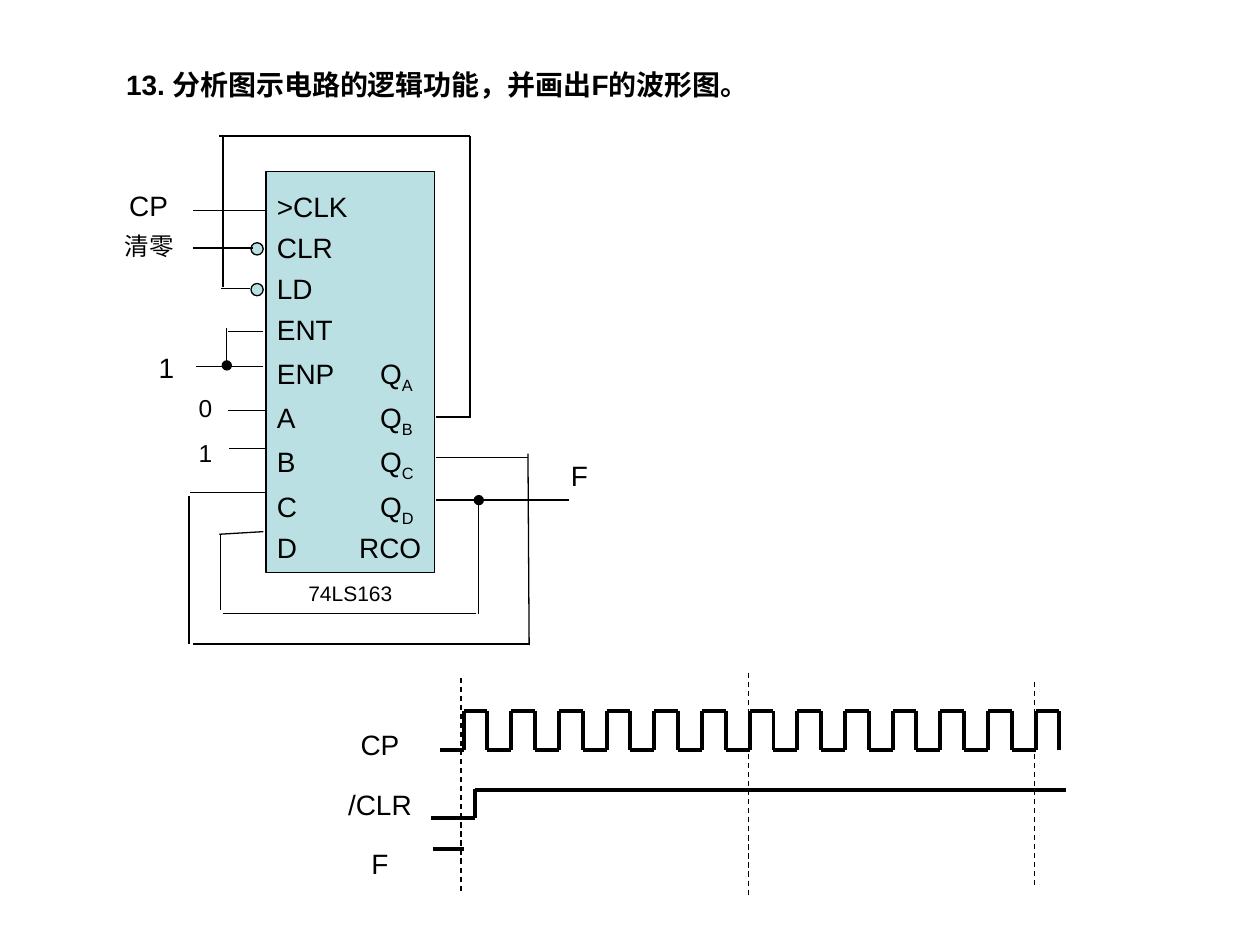
"""Build a slide with a counter circuit and its timing chart."""
from lxml.etree import SubElement
from pptx import Presentation
from pptx.dml.color import RGBColor
from pptx.enum.dml import MSO_LINE
from pptx.enum.shapes import MSO_CONNECTOR, MSO_SHAPE
from pptx.enum.text import PP_ALIGN
from pptx.oxml.ns import qn
from pptx.util import Pt

BLACK = RGBColor(0x00, 0x00, 0x00)
TEAL = RGBColor(0xBB, 0xE0, 0xE3)

deck = Presentation()
deck.slide_width, deck.slide_height = Pt(720), Pt(540)
slide = deck.slides.add_slide(deck.slide_layouts[6])
shapes = slide.shapes


def write(text, box, size=16, bold=False, align=PP_ALIGN.CENTER, before=10, space=1, tabs=()):
    frame = shapes.add_textbox(*map(Pt, box)).text_frame
    frame.word_wrap = True
    for row, line in enumerate(text.split("\n")):
        para = frame.paragraphs[0] if row == 0 else frame.add_paragraph()
        para.alignment = align
        para.line_spacing = space
        para.space_before = Pt(before if row else 0)
        if "\t" in line:
            stops = SubElement(para._p.get_or_add_pPr(), qn("a:tabLst"))
            stop = tabs[1] if "RCO" in line else tabs[0]
            SubElement(stops, qn("a:tab"), pos=str(Pt(stop)), algn="l")
        main, mark, sub = line.partition("_")
        for part in filter(None, (main, sub)):
            run = para.add_run()
            run.text = part
            run.font.name = "Arial"
            run.font.size = Pt(size)
            run.font.bold = bold
            run.font.color.rgb = BLACK
            if mark and part is sub:
                run.font._element.set("baseline", "-25000")


def draw(start, end, width=0.75, dash=None, dot=None):
    wire = shapes.add_connector(MSO_CONNECTOR.STRAIGHT, *map(Pt, start + end))
    wire.line.color.rgb = BLACK
    wire.line.width = Pt(width)
    if dash:
        wire.line.dash_style = dash
    if dot:
        SubElement(wire.line._get_or_add_ln(), qn(f"a:{dot}"), type="oval")
    SubElement(wire._element.spPr, qn("a:effectLst"))


for kind, box in [
    (MSO_SHAPE.RECTANGLE, (152, 98, 96.5, 229)),
    (MSO_SHAPE.OVAL, (143.4, 138.7, 7, 7)),
    (MSO_SHAPE.OVAL, (143.4, 162, 7, 7)),
]:
    part = shapes.add_shape(kind, *map(Pt, box))
    part.shadow.inherit = False
    part.fill.solid()
    part.fill.fore_color.rgb = TEAL
    part.line.color.rgb = BLACK
    part.line.width = Pt(0.75)

write("13. 分析图示电路的逻辑功能，并画出F的波形图。", (65, 35.3, 428, 27),
      bold=True, align=PP_ALIGN.LEFT)
write(">CLK\nCLR\nLD\nENT\nENP\tQ_A\nA\tQ_B\nB\tQ_C\nC\tQ_D\nD\tRCO",
      (151.2, 110.2, 98.6, 216), align=PP_ALIGN.LEFT, space=0.7, tabs=(59, 47))
write("74LS163", (152, 328.3, 96.5, 22), size=12)
write("CP", (61.2, 104.4, 47.5, 27))
write("清零", (64, 128.2, 42.5, 24), size=14)
write("1", (79.2, 196.6, 31.7, 27))
write("0\n1", (103.7, 221, 27.4, 50), size=14, before=8.8)
write("F", (316, 258.5, 30.2, 27))
write("CP\n/CLR\nF", (188.6, 407.5, 57, 99.4), space=1.25)

for start, end in [
    ((152, 120.4), (110.2, 120.4)),
    ((144.5, 141.8), (110.2, 141.8)),
    ((142.6, 165), (126, 165)),
    ((150.5, 189.4), (130.3, 189.4)),
    ((150.5, 209.6), (112.3, 209.6)),
    ((152, 234.7), (130.3, 234.7)),
    ((152, 256.3), (131, 256.3)),
    ((249, 238.3), (269.3, 238.3)),
    ((249, 261.4), (301.7, 261.4)),
    ((249, 285.8), (325.4, 285.8)),
    ((127.4, 164.2), (127.4, 78.5)),
    ((125.3, 77.8), (268.6, 77.8)),
    ((268.6, 77.8), (268.6, 239)),
    ((301.7, 259.2), (302.4, 368.6)),
    ((302.4, 368), (110.2, 368)),
    ((108, 368), (108, 283.7)),
    ((108.7, 281.5), (152, 281.5)),
    ((272.2, 350.6), (127.4, 350.6)),
    ((126, 348.5), (126, 305.3)),
    ((125.3, 305.3), (150.5, 303.8)),
]:
    draw(start, end)
draw((129.6, 187.2), (129.6, 208.8), dot="tailEnd")
draw((273.6, 285.8), (273.6, 350.6), dot="headEnd")

HIGH, LOW, HALF = 406.1, 428.4, 13.62
for pulse in range(13):
    left = 251.3 + 2 * HALF * pulse
    rise, fall = left + HALF, left + 2 * HALF
    draw((left, LOW), (rise, LOW), 2.25)
    draw((rise, HIGH), (rise, LOW), 2.25)
    draw((rise, HIGH), (fall, HIGH), 2.25)
    draw((fall, HIGH), (fall, LOW), 2.25)

for start, end in [
    ((246.2, 467.3), (271.4, 467.3)),
    ((271.4, 450.7), (271.4, 467.3)),
    ((271.4, 451.4), (609.1, 451.4)),
    ((247.7, 485.3), (265, 485.3)),
]:
    draw(start, end, 2.25)
for x, top, base in [(263.5, 387.4, 509), (427.7, 384.5, 512), (591.1, 389.5, 507)]:
    draw((x, top), (x, base), dash=MSO_LINE.DASH)

deck.save("out.pptx")
